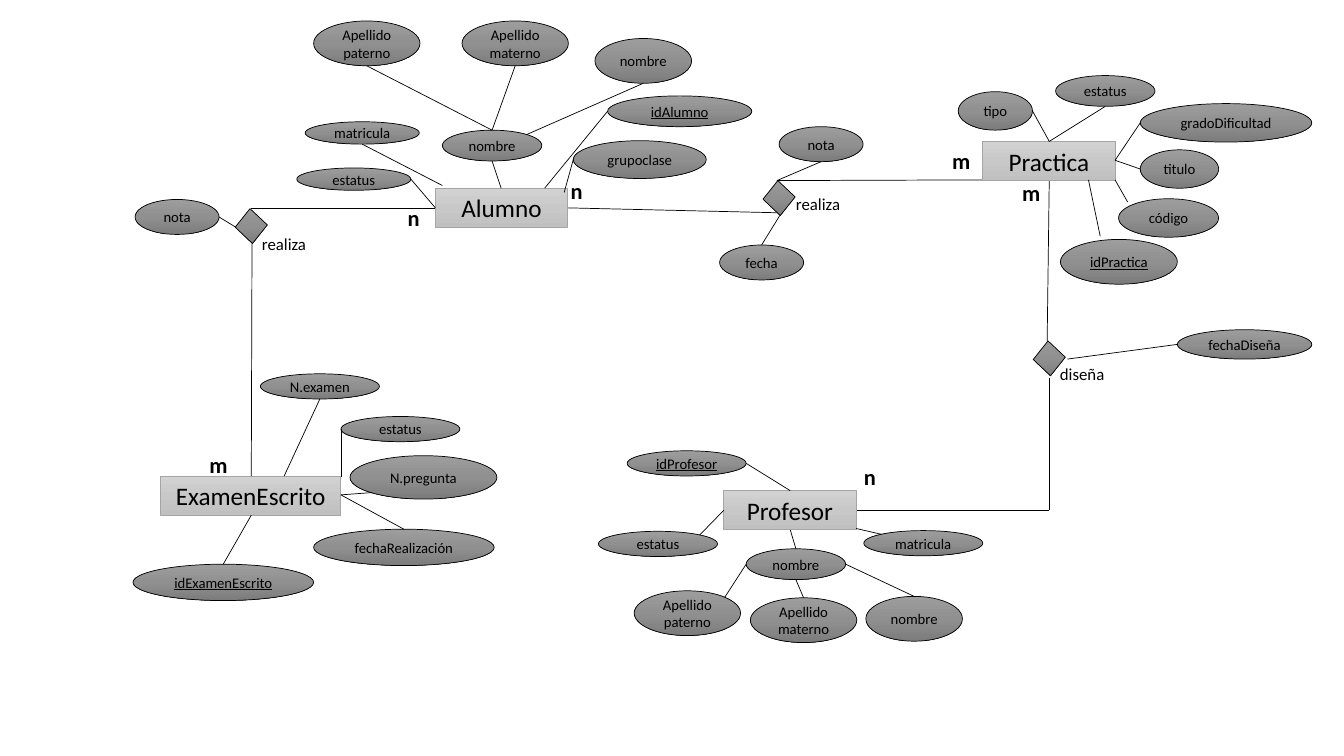
import copy

import pptx
import pptx.dml.color
import pptx.enum.shapes
import pptx.enum.text
import pptx.oxml.ns
import pptx.util
from lxml import etree

Pt = pptx.util.Pt
rgb = pptx.dml.color.RGBColor.from_string
MSO = pptx.enum.shapes.MSO_SHAPE

prs = pptx.Presentation()
prs.slide_width, prs.slide_height = Pt(960), Pt(540)
slide = prs.slides.add_slide(prs.slide_layouts[6])

ENTITY = {"shades": ("D2D2D2", "C8C8C8", "C0C0C0"), "outline": "A5A5A5", "size": 18}
DARK = {"shades": ("9D9D9D", "909090", "7C7C7C"), "outline": "000000", "size": 10.5}


def write(shape, text, **font_format):
    paragraph = shape.text_frame.paragraphs[0]
    run = paragraph.add_run()
    run.text = text
    run.font.name = "Calibri"
    run.font.color.rgb = rgb("000000")
    for attribute, value in font_format.items():
        setattr(run.font, attribute, value)
    return paragraph


def draw_line(x1, y1, x2, y2):
    link = slide.shapes.add_connector(
        pptx.enum.shapes.MSO_CONNECTOR.STRAIGHT, Pt(x1), Pt(y1), Pt(x2), Pt(y2))
    link.line.color.rgb = rgb("000000")
    link.line.width = Pt(0.5)
    etree.SubElement(link._element.spPr, pptx.oxml.ns.qn("a:effectLst"))


# Entities: name, left, top, width, height
entities = [
    ("Alumno", 311, 134.5, 94.5, 28),
    ("Profesor", 517, 350.5, 94.5, 28),
    ("Practica", 702, 101, 94.5, 28),
    ("ExamenEscrito", 114.5, 340, 129, 28),
]

# Relationships: name, diamond left and top, name left and top
relationships = [
    ("realiza", 545, 129, 561.5, 134.5),
    ("diseña", 738, 243.5, 750, 256.5),
    ("realiza", 168, 149, 180, 163.5),
]
relationship_lines = [
    (405.5, 148.5, 556.5, 152),
    (555, 129, 702, 128.5),
    (611.5, 364.5, 749.5, 364.5),
    (749.5, 364.5, 749.5, 270),
    (748, 243.5, 749.5, 128.5),
    (311, 148.5, 179.5, 148.5),
    (180, 174, 179.5, 340),
]

# Where an attribute's line leaves its ellipse, as shares of width and height
sites = {
    "top": (0.5, 0), "bottom": (0.5, 1), "left": (0, 0.5), "right": (1, 0.5),
    "upper left": (0.15, 0.15), "upper right": (0.85, 0.15),
    "lower left": (0.15, 0.85), "corner": (0.09, 0.08), "above": (0.34, -0.07),
}

# Attributes: name, left, top, width, height, site, x and y of the line's other end
attributes = [
    # Alumno
    ("nombre", 316, 93, 71, 22, "bottom", 358, 134.5),
    ("Apellido paterno", 224, 15, 76, 32, "bottom", 351.5, 93),
    ("Apellido materno", 330, 15, 76, 32, "bottom", 351.5, 93),
    ("nombre", 425, 27.5, 69, 32, "bottom", 376.5, 96),
    ("matricula", 218, 87, 81.5, 16, "bottom", 316, 132.5),
    ("grupoclase", 409.5, 100.5, 95, 27, "left", 403, 137.5),
    ("estatus", 212, 120, 81.5, 16, "right", 311, 148.5),
    ("idAlumno", 434, 68.5, 103, 22, "left", 389, 134.5),
    # Relationships
    ("nota", 96.5, 142.5, 60, 25, "right", 168, 162),
    ("nota", 556.5, 90.5, 60, 25, "bottom", 555, 129),
    ("fecha", 514, 175, 60, 25, "top", 557, 154),
    ("fechaDiseña", 841, 235.5, 96, 21, "left", 762.5, 256.5),
    # Profesor
    ("Apellido paterno", 453, 422, 76, 32, "upper right", 533, 403),
    ("nombre", 533, 392, 71, 22, "top", 564.5, 378.5),
    ("Apellido materno", 536, 427, 76, 32, "top", 568.5, 414),
    ("nombre", 618.5, 426, 69, 32, "top", 604, 403),
    ("matricula", 617, 379, 85, 18, "upper left", 611.5, 377.5),
    ("estatus", 427.5, 379.5, 85, 18, "upper right", 517, 364.5),
    ("idProfesor", 448, 322, 85, 18, "right", 564.5, 350.5),
    # Practica
    ("tipo", 684.5, 65.5, 53, 27.5, "right", 749.5, 101),
    ("estatus", 754, 54, 71, 22, "bottom", 749.5, 101),
    ("gradoDificultad", 814.5, 74, 122.5, 27.5, "left", 796.5, 114.5),
    ("titulo", 814.5, 107, 56, 27.5, "left", 796.5, 114.5),
    ("código", 799, 142, 71.5, 27.5, "corner", 796.5, 128.5),
    ("idPractica", 757.5, 171, 83.5, 32, "above", 777.5, 128.5),
    # ExamenEscrito
    ("estatus", 243.5, 297.5, 85, 18, "left", 243.5, 340.5),
    ("N.pregunta", 250, 325.5, 105, 31, "lower left", 243.5, 353.5),
    ("N.examen", 186, 267, 85, 18, "bottom", 203, 340),
    ("fechaRealización", 224, 378, 129, 26, "top", 243.5, 353.5),
    ("idExamenEscrito", 95, 403, 129, 26, "top", 179.5, 368),
]

# Relationship lines lie under the entities, diamonds and ellipses
for ends in relationship_lines:
    draw_line(*ends)

nodes = [(MSO.RECTANGLE, ENTITY, 0, entity) for entity in entities]
nodes += [(MSO.DIAMOND, DARK, -4.1, ("", left, top, 23, 25))
          for _, left, top, _, _ in relationships]
nodes += [(MSO.OVAL, DARK, 0, attribute[:5]) for attribute in attributes]

for outline, style, turn, (name, *box) in nodes:
    node = slide.shapes.add_shape(outline, *map(Pt, box))
    node.shadow.inherit = False
    node.rotation = turn
    node.line.color.rgb = rgb(style["outline"])
    node.line.width = Pt(0.5)
    # Vertical gradient with a third stop in the middle
    node.fill.gradient()
    node.fill.gradient_angle = 270
    first_stop = node._element.spPr.find(".//" + pptx.oxml.ns.qn("a:gs"))
    middle_stop = copy.deepcopy(first_stop)
    middle_stop.set("pos", "50000")
    first_stop.addnext(middle_stop)
    for stop, shade in zip(node.fill.gradient_stops, style["shades"]):
        stop.color.rgb = rgb(shade)
    if name:
        node.text_frame.vertical_anchor = pptx.enum.text.MSO_ANCHOR.MIDDLE
        # Key attributes are underlined
        is_key = outline == MSO.OVAL and name.startswith("id")
        paragraph = write(node, name, size=Pt(style["size"]), underline=is_key)
        paragraph.alignment = pptx.enum.text.PP_ALIGN.CENTER

# Attribute lines
for _, left, top, width, height, site, end_x, end_y in attributes:
    share_x, share_y = sites[site]
    draw_line(left + share_x * width, top + share_y * height, end_x, end_y)

# Relationship names and cardinalities: text, left, top, width, height, size, bold
labels = [(name, left, top, 46, 21.5, 12, False)
          for name, _, _, left, top in relationships]
labels += [(cardinality, left, top, 23 if cardinality == "n" else 27, 26.5, 16, True)
           for cardinality, left, top in [
               ("n", 400.5, 123), ("n", 284, 142.5), ("m", 142.5, 318.5),
               ("m", 723, 124.5), ("n", 610, 327), ("m", 673, 101.5)]]

for text, left, top, width, height, size, bold in labels:
    label = slide.shapes.add_textbox(Pt(left), Pt(top), Pt(width), Pt(height))
    label.text_frame.word_wrap = False
    label.text_frame.auto_size = pptx.enum.text.MSO_AUTO_SIZE.SHAPE_TO_FIT_TEXT
    write(label, text, size=Pt(size), bold=bold)

prs.save("out.pptx")
